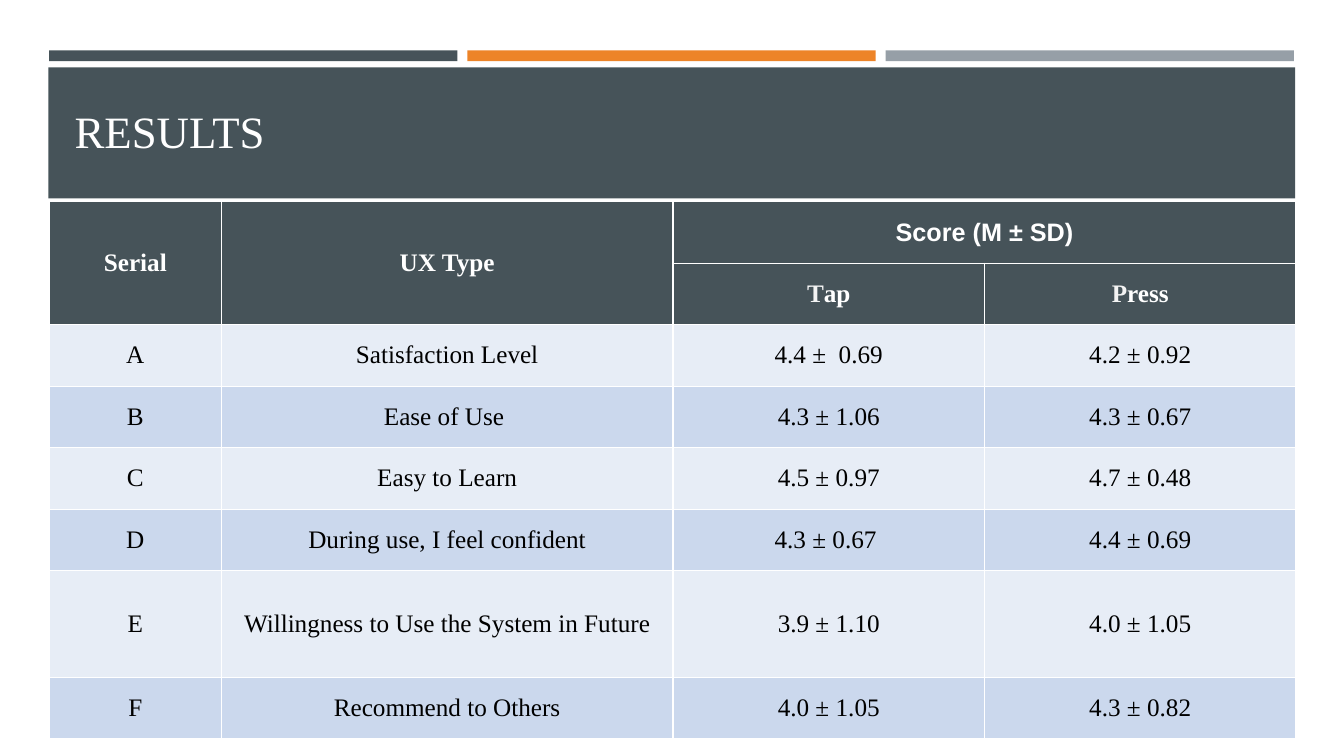
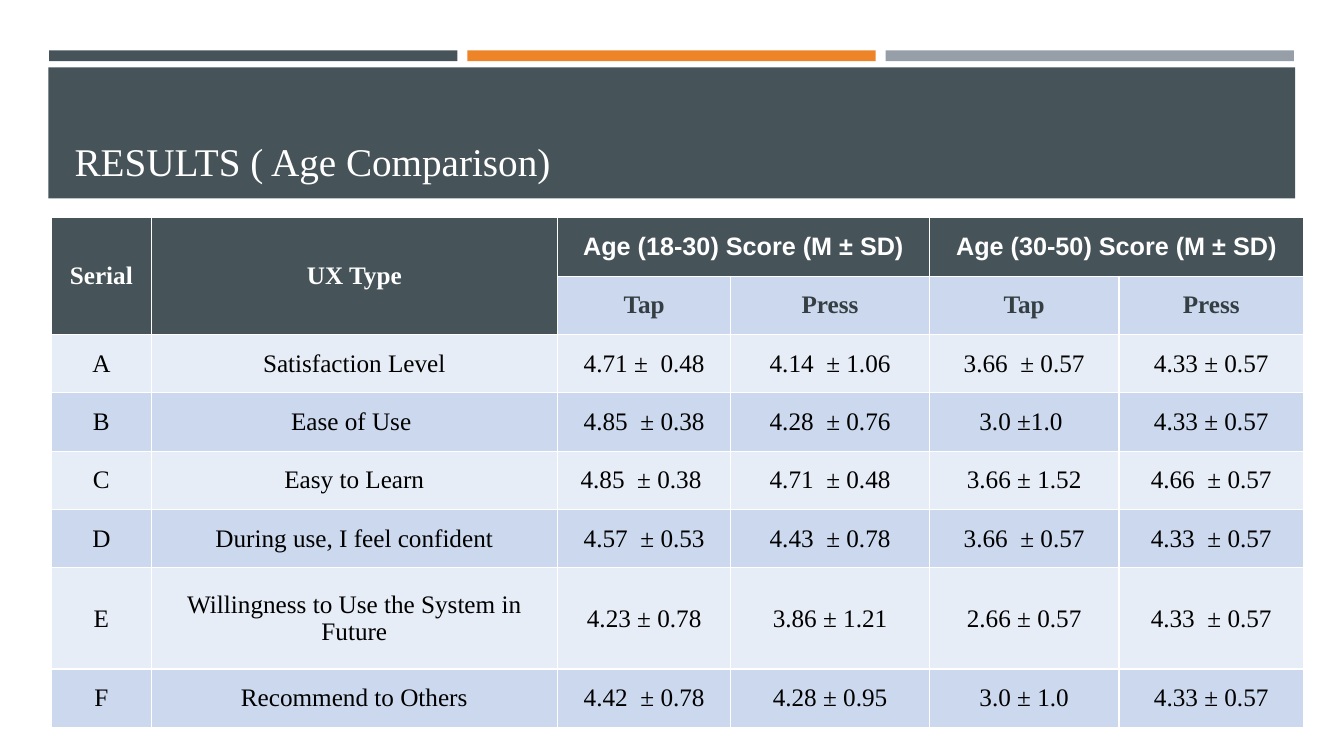
from pptx import Presentation
from pptx.dml.color import RGBColor
from pptx.enum.shapes import MSO_SHAPE
from pptx.enum.text import MSO_ANCHOR, PP_ALIGN
from pptx.util import Cm, Pt

RECTANGLE = MSO_SHAPE.RECTANGLE
MIDDLE, BOTTOM = MSO_ANCHOR.MIDDLE, MSO_ANCHOR.BOTTOM
LEFT, CENTER = PP_ALIGN.LEFT, PP_ALIGN.CENTER

SLATE, ORANGE, GREY = "465359", "ED8428", "969FA7"
WHITE, BLACK, OFF_WHITE, INK = "FFFFFF", "000000", "F3F3F3", "343E43"
PALE, BLUE = "E7EDF6", "CBD8ED"
SERIF, SANS = "Times New Roman", "Arial"

BARS = [SLATE, ORANGE, GREY]
BAR_PITCH = 10.54
HEADINGS = ["Serial", "UX Type"]
METHODS = ["Tap", "Press"]
UX_TYPES = [
    "Satisfaction Level",
    "Ease of Use ",
    "Easy to Learn",
    "During use, I feel confident",
    "Willingness to Use the System in Future",
    "Recommend to Others",
]
TALL_ROW = 6

RESULTS = [
    {
        "title": "RESULTS", "size": 32, "anchor": MIDDLE, "spacing": 0.9,
        "left": 1.24, "top": 5.08, "row": 1.55, "tall": 2.69,
        "columns": [4.34, 11.38, 7.85, 7.85],
        "groups": ["Score (M ± SD)"],
        "method_fill": SLATE, "method_color": WHITE, "method_initial": OFF_WHITE,
        "scores": [
            ["4.4 ±  0.69", "4.2 ± 0.92"],
            ["4.3 ± 1.06", "4.3 ± 0.67"],
            ["4.5 ± 0.97", "4.7 ± 0.48"],
            ["4.3 ± 0.67 ", "4.4 ± 0.69"],
            ["3.9 ± 1.10", "4.0 ± 1.05"],
            ["4.0 ± 1.05", "4.3 ± 0.82"],
        ],
    },
    {
        "title": "RESULTS ( Age Comparison)", "size": 28, "anchor": BOTTOM, "spacing": None,
        "left": 1.3, "top": 5.49, "row": 1.47, "tall": 2.55,
        "columns": [2.51, 10.24, 4.37, 5, 4.78, 4.65],
        "groups": ["Age (18-30) Score (M ± SD)", "Age (30-50) Score (M ± SD)"],
        "method_fill": BLUE, "method_color": INK, "method_initial": None,
        "scores": [
            ["4.71 ±  0.48", "4.14  ± 1.06", "3.66  ± 0.57", "4.33 ± 0.57"],
            ["4.85  ± 0.38", "4.28  ± 0.76", "3.0 ±1.0 ", "4.33 ± 0.57"],
            ["4.85  ± 0.38 ", "4.71  ± 0.48", "3.66 ± 1.52", "4.66  ± 0.57"],
            ["4.57  ± 0.53", "4.43  ± 0.78", "3.66  ± 0.57", "4.33  ± 0.57"],
            ["4.23 ± 0.78", "3.86 ± 1.21", "2.66 ± 0.57", "4.33  ± 0.57"],
            ["4.42  ± 0.78", "4.28 ± 0.95", " 3.0 ± 1.0 ", "4.33 ± 0.57"],
        ],
    },
]


def paint(fill, color):
    fill.solid()
    fill.fore_color.rgb = RGBColor.from_string(color)


def write(holder, text, size=18, font=SERIF, color=BLACK, bold=False, align=CENTER,
          initial=None, fill=None, spacing=None):
    if fill:
        paint(holder.fill, fill)
    para = holder.text_frame.paragraphs[0]
    para.alignment = align
    if spacing:
        para.line_spacing = spacing
    pieces = [(text[0], initial), (text[1:], color)] if initial else [(text, color)]
    for piece, piece_color in pieces:
        span = para.add_run()
        span.text = piece
        span.font.size = Pt(size)
        span.font.name = font
        span.font.bold = bold
        paint(span.font.fill, piece_color)


deck = Presentation()
deck.slide_width, deck.slide_height = Cm(33.87), Cm(19.05)

for result in RESULTS:
    page = deck.slides.add_slide(deck.slide_layouts[6])

    blocks = [(1.24 + i * BAR_PITCH, 1.27, 10.29, 0.27, color) for i, color in enumerate(BARS)]
    blocks.append((1.22, 1.7, 31.42, 3.3, SLATE))
    for left, top, width, height, color in blocks:
        block = page.shapes.add_shape(RECTANGLE, Cm(left), Cm(top), Cm(width), Cm(height))
        block.shadow.inherit = False
        block.line.fill.background()
        paint(block.fill, color)

    title = page.shapes.add_textbox(Cm(1.63), Cm(1.96), Cm(30.63), Cm(2.82))
    title.text_frame.word_wrap = True
    title.text_frame.vertical_anchor = result["anchor"]
    write(title, result["title"], size=result["size"], color=WHITE, align=LEFT,
          spacing=result["spacing"])

    columns = result["columns"]
    row_count = len(UX_TYPES) + 2
    heights = [result["tall"] if i == TALL_ROW else result["row"] for i in range(row_count)]
    table = page.shapes.add_table(row_count, len(columns), Cm(result["left"]), Cm(result["top"]),
                                  Cm(sum(columns)), Cm(sum(heights))).table
    for column, width in zip(table.columns, columns):
        column.width = Cm(width)
    for row, height in zip(table.rows, heights):
        row.height = Cm(height)
    for cell in table.iter_cells():
        cell.vertical_anchor = MIDDLE

    for i, heading in enumerate(HEADINGS):
        table.cell(0, i).merge(table.cell(1, i))
        write(table.cell(0, i), heading, color=WHITE, bold=True, fill=SLATE)
    for i, group in enumerate(result["groups"]):
        first = 2 + 2 * i
        table.cell(0, first).merge(table.cell(0, first + 1))
        write(table.cell(0, first), group, font=SANS, color=WHITE, bold=True, fill=SLATE)
        for j, method in enumerate(METHODS):
            write(table.cell(1, first + j), method, color=result["method_color"], bold=True,
                  initial=result["method_initial"], fill=result["method_fill"])

    for i, (ux_type, scores) in enumerate(zip(UX_TYPES, result["scores"])):
        for j, text in enumerate(["ABCDEF"[i], ux_type, *scores]):
            write(table.cell(i + 2, j), text, fill=BLUE if i % 2 else PALE)

tight_cell = table.cell(2, 2)
tight_cell.margin_left = tight_cell.margin_top = tight_cell.margin_right = Cm(0.03)
tight_cell.margin_bottom = Cm(0)

deck.save("out.pptx")
